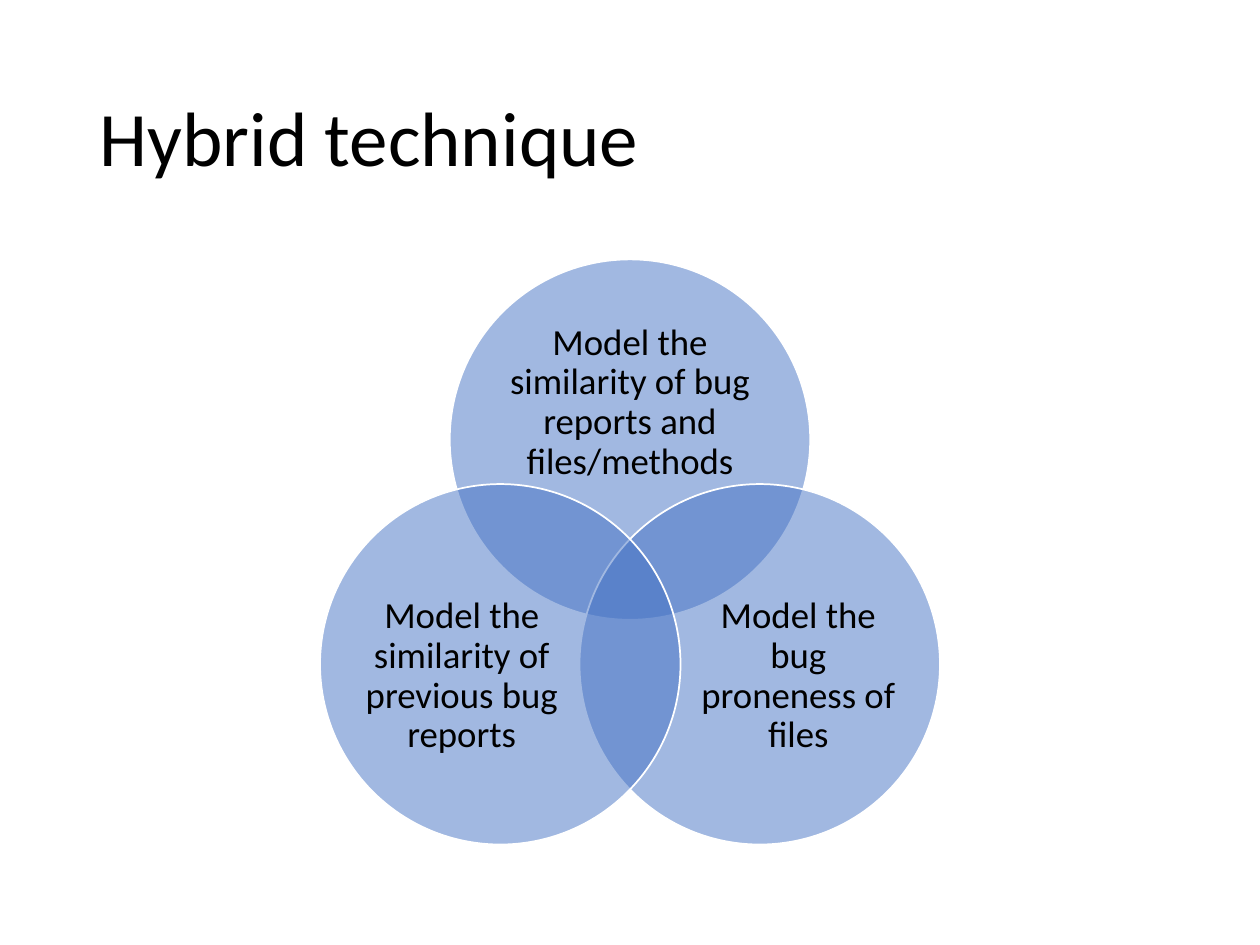
from math import cos, radians, sin

from lxml.etree import SubElement
from pptx import Presentation
from pptx.dml.color import RGBColor
from pptx.enum.shapes import MSO_SHAPE as Shape
from pptx.enum.text import MSO_ANCHOR as Anchor, PP_ALIGN as Align
from pptx.oxml.ns import qn
from pptx.util import Pt

TITLE = "Hybrid technique"
# text, angle of the circle, text offset from the circle's centre, text size
CIRCLES = [
    ("Model the similarity of bug reports and files/methods", -90, (0, -21), (150.5, 92.2)),
    ("Model the bug proneness of files", 30, (22, 7), (123.1, 113)),
    ("Model the similarity of previous bug reports", 150, (-22, 7), (123.1, 113)),
]
FONT = "Calibri"
BLACK, WHITE, BLUE = "000000", "FFFFFF", "4472C4"
CENTER_X, CENTER_Y = 360, 336.8
DIAMETER, ORBIT = 206, 85.6


def color(value):
    return RGBColor.from_string(value)


def centered_box(x, y, width, height):
    """Return left, top, width and height of a box around a centre."""
    return Pt(x - width / 2), Pt(y - height / 2), Pt(width), Pt(height)


def add_circle(slide, x, y):
    circle = slide.shapes.add_shape(Shape.OVAL, *centered_box(x, y, DIAMETER, DIAMETER))
    circle.shadow.inherit = False
    circle.fill.solid()
    circle.fill.fore_color.rgb = color(BLUE)
    fill_color = circle.fill._xPr.find(qn("a:solidFill"))[0]
    SubElement(fill_color, qn("a:alpha"), val="50000")
    circle.line.color.rgb = color(WHITE)
    circle.line.width = Pt(1)


def add_text(slide, box, text, size, align=Align.LEFT, inset=None):
    text_frame = slide.shapes.add_textbox(*box).text_frame
    text_frame.word_wrap = True
    text_frame.vertical_anchor = Anchor.MIDDLE
    if inset is not None:
        text_frame.margin_left = text_frame.margin_right = Pt(inset)
        text_frame.margin_top = text_frame.margin_bottom = Pt(inset)
    text_frame.text = text
    paragraph = text_frame.paragraphs[0]
    paragraph.alignment = align
    paragraph.line_spacing = 0.9
    font = paragraph.runs[0].font
    font.name, font.size = FONT, Pt(size)
    font.color.rgb = color(BLACK)


def main():
    presentation = Presentation()
    presentation.slide_width, presentation.slide_height = Pt(720), Pt(540)
    slide = presentation.slides.add_slide(presentation.slide_layouts[6])

    add_text(slide, centered_box(CENTER_X, 81, 620.6, 104.4), TITLE, 44)
    for text, angle, (offset_x, offset_y), size in CIRCLES:
        x = CENTER_X + ORBIT * cos(radians(angle))
        y = CENTER_Y + ORBIT * sin(radians(angle))
        add_circle(slide, x, y)
        text_box = centered_box(x + offset_x, y + offset_y, *size)
        add_text(slide, text_box, text, 21, Align.CENTER, inset=0)

    presentation.save("out.pptx")


if __name__ == "__main__":
    main()
